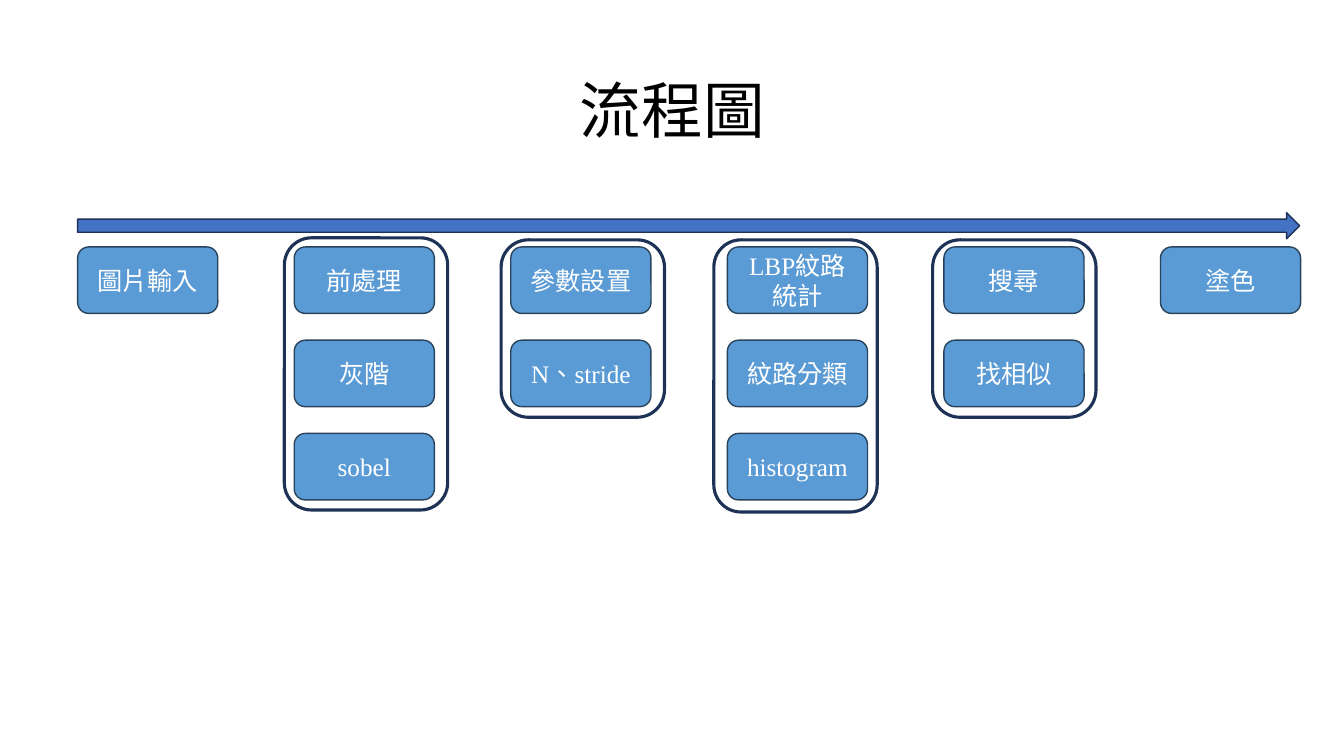
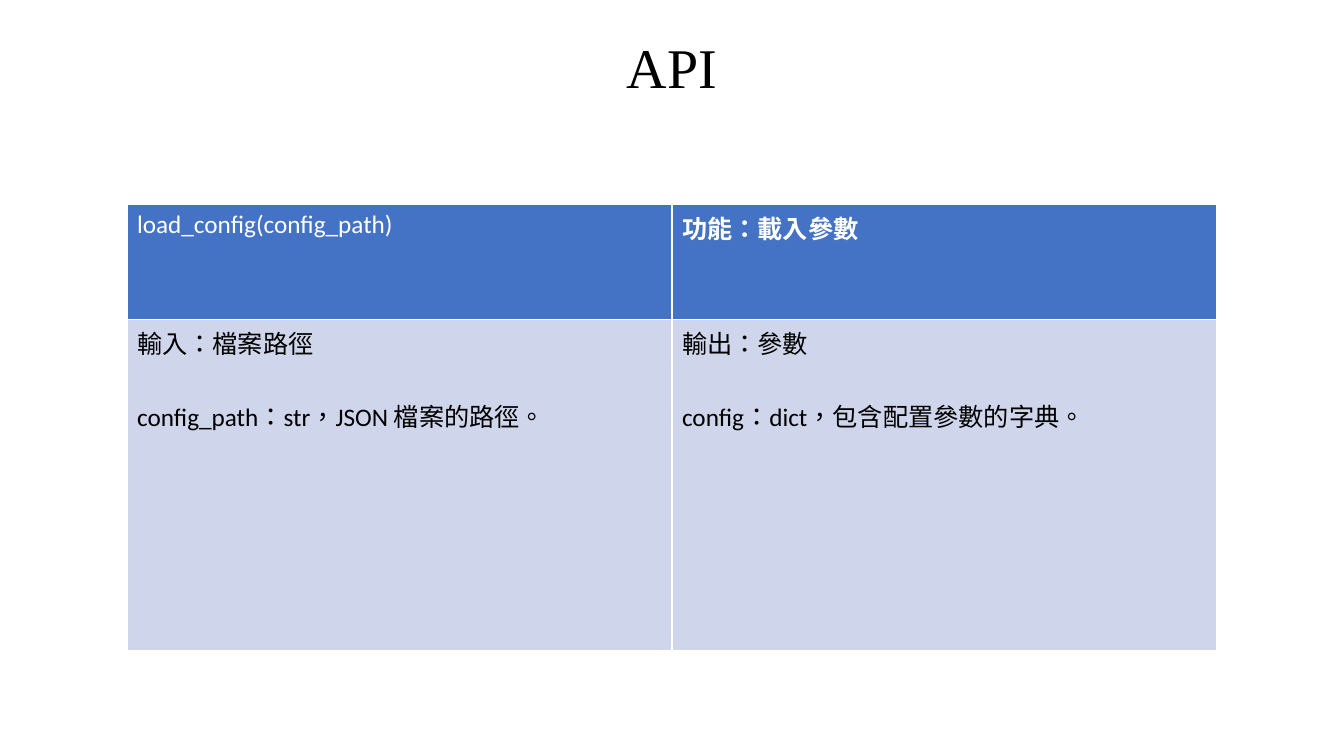
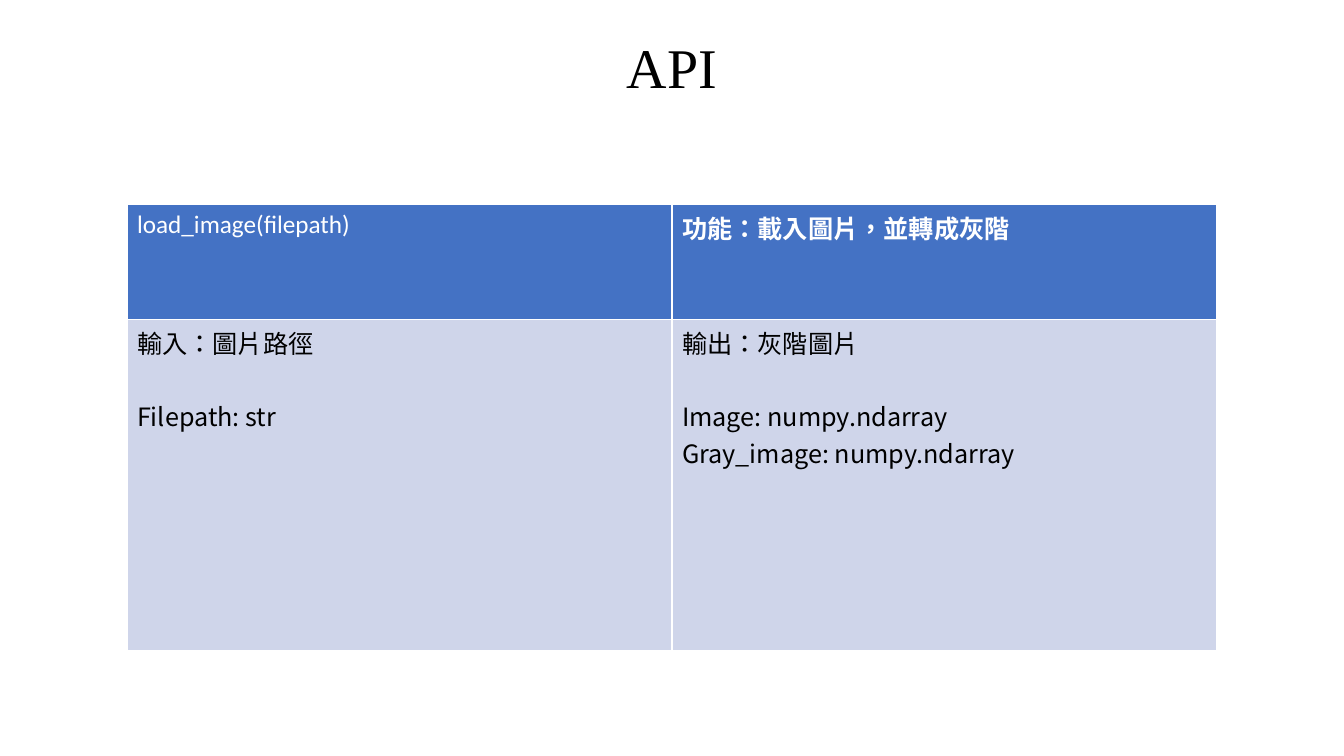
"""Build a flow chart slide and two API table slides."""
from pptx import Presentation
from pptx.dml.color import RGBColor
from pptx.enum.lang import MSO_LANGUAGE_ID
from pptx.enum.shapes import MSO_SHAPE
from pptx.enum.text import MSO_ANCHOR, MSO_AUTO_SIZE, PP_ALIGN
from pptx.util import Inches, Pt

ROUND, ARROW = MSO_SHAPE.ROUNDED_RECTANGLE, MSO_SHAPE.RIGHT_ARROW
LEFT, CENTER = PP_ALIGN.LEFT, PP_ALIGN.CENTER
TOP, MIDDLE = MSO_ANCHOR.TOP, MSO_ANCHOR.MIDDLE
FIXED = MSO_AUTO_SIZE.NONE
TAIWAN = MSO_LANGUAGE_ID.TRADITIONAL_CHINESE

SERIF, SANS, HAN = "Times New Roman", "Calibri", "Noto Sans CJK SC"
BLACK, WHITE = "000000", "FFFFFF"
BLUE, SKY, PALE = "4472C4", "5B9BD5", "CFD5EA"
NAVY, SLATE = "1E3256", "28445D"

color = RGBColor.from_string


def write(frame, text, font=SERIF, rest=None, size=18, ink=WHITE, bold=False,
          align=LEFT, gap=0, space=1.0):
    frame.text = text
    frame.word_wrap = True
    for row, para in enumerate(frame.paragraphs):
        para.alignment = align
        para.line_spacing = space
        para.space_before = Pt(gap if row == 1 else 0)
        for run in para.runs:
            run.font.name = rest if row and rest else font
            run.font.size = Pt(size)
            run.font.bold = bold
            run.font.color.rgb = color(ink)
            run.font.language_id = TAIWAN


def draw(slide, kind, box, fill, edge, width):
    shape = slide.shapes.add_shape(kind, *map(Inches, box))
    shape.shadow.inherit = False
    if fill:
        shape.fill.solid()
        shape.fill.fore_color.rgb = color(fill)
    else:
        shape.fill.background()
    shape.line.color.rgb = color(edge)
    shape.line.width = Pt(width)
    return shape


deck = Presentation()
deck.slide_width, deck.slide_height = Inches(13.33), Inches(7.5)

pages = [("流程圖", (0.92, 0.4, 11.5, 1.45), 44, MIDDLE, 0.9)]
pages += [("API", (2.09, 0.27, 9.15, 0.77), 40, TOP, 1.0)] * 2
for name, box, size, anchor, space in pages:
    title = deck.slides.add_slide(deck.slide_layouts[5]).shapes.title
    title.left, title.top, title.width, title.height = map(Inches, box)
    frame = title.text_frame
    frame.auto_size = FIXED
    frame.vertical_anchor = anchor
    write(frame, name, size=size, ink=BLACK, align=CENTER, space=space)

flow, *api = deck.slides

stages = [
    (["圖片輸入"], None),
    (["前處理", "灰階", "sobel"], (2.82, 2.36)),
    (["參數設置", "N、stride"], (4.97, 2.38)),
    (["LBP紋路統計", "紋路分類", "histogram"], (7.08, 2.38)),
    (["搜尋", "找相似"], (9.25, 2.38)),
    (["塗色"], None),
]
draw(flow, ARROW, (0.77, 2.11, 12.12, 0.26), BLUE, NAVY, 1)
for col, (steps, corner) in enumerate(stages):
    for row, step in enumerate(steps):
        box = (0.77 + 2.148 * col, 2.45 + 0.925 * row, 1.39, 0.66)
        shape = draw(flow, ROUND, box, SKY, SLATE, 1)
        shape.text_frame.vertical_anchor = MIDDLE
        write(shape.text_frame, step, align=CENTER)
    if corner:
        box = (*corner, 1.62, 0.94 * len(steps) - 0.12)
        draw(flow, ROUND, box, None, NAVY, 2.25)

calls = [
    ("load_config(config_path)", "功能：載入參數",
     "輸入：檔案路徑\nconfig_path：str，JSON 檔案的路徑。",
     "輸出：參數\nconfig：dict，包含配置參數的字典。", SANS),
    ("load_image(filepath)", "功能：載入圖片，並轉成灰階",
     "輸入：圖片路徑\nFilepath: str",
     "輸出：灰階圖片\nImage: numpy.ndarray\nGray_image: numpy.ndarray", HAN),
]
for slide, (name, task, given, result, rest) in zip(api, calls):
    box = map(Inches, (1.26, 2.03, 10.81, 4.43))
    table = slide.shapes.add_table(2, 2, *box).table
    table.rows[0].height, table.rows[1].height = Inches(1.14), Inches(3.28)
    write(table.cell(0, 0).text_frame, name, font=SANS)
    write(table.cell(0, 1).text_frame, task, font=HAN, bold=True)
    for col, text in enumerate((given, result)):
        write(table.cell(1, col).text_frame, text, font=HAN, rest=rest,
              ink=BLACK, gap=26)
        for row, fill in enumerate((BLUE, PALE)):
            cell = table.cell(row, col)
            cell.fill.solid()
            cell.fill.fore_color.rgb = color(fill)

deck.save("out.pptx")
